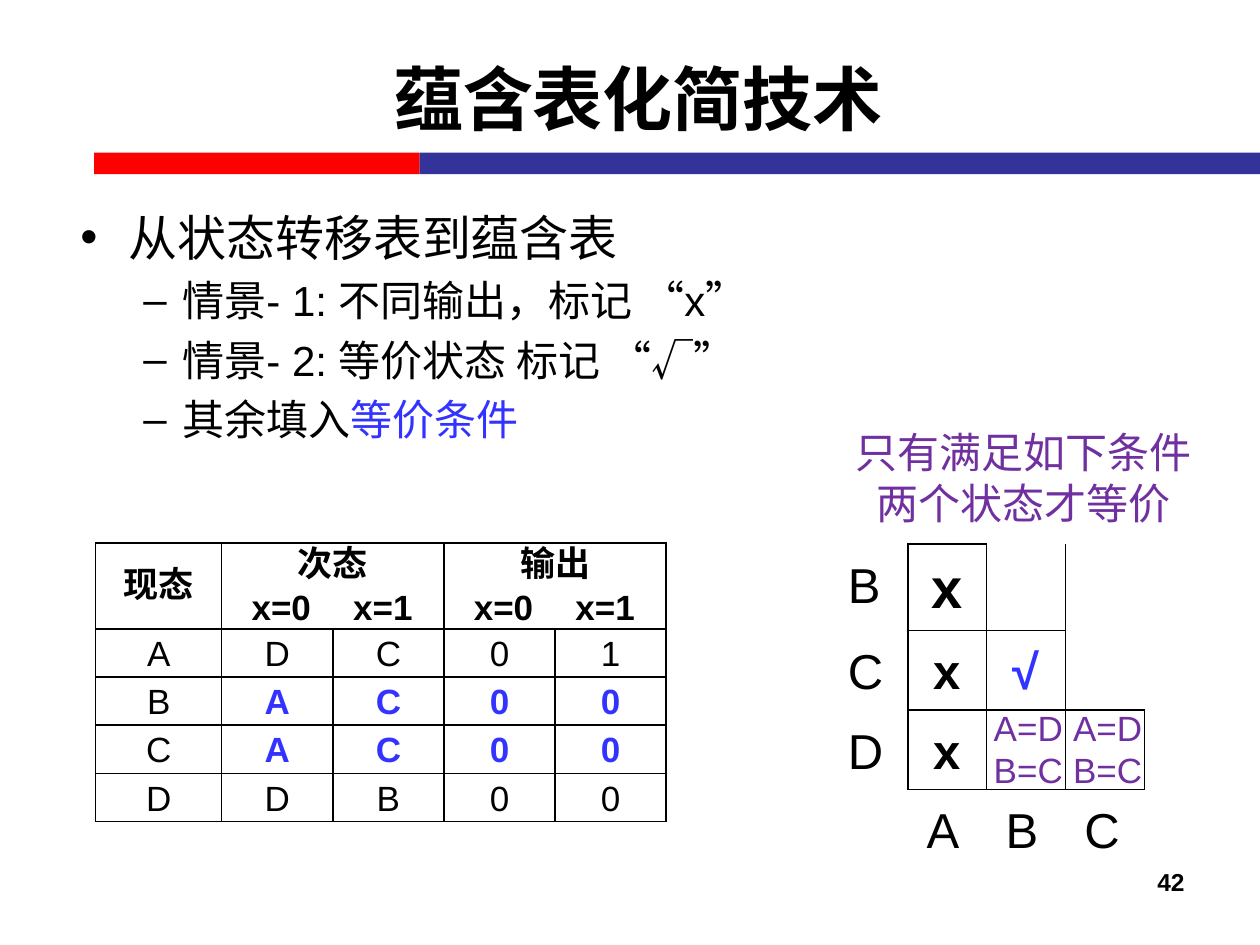
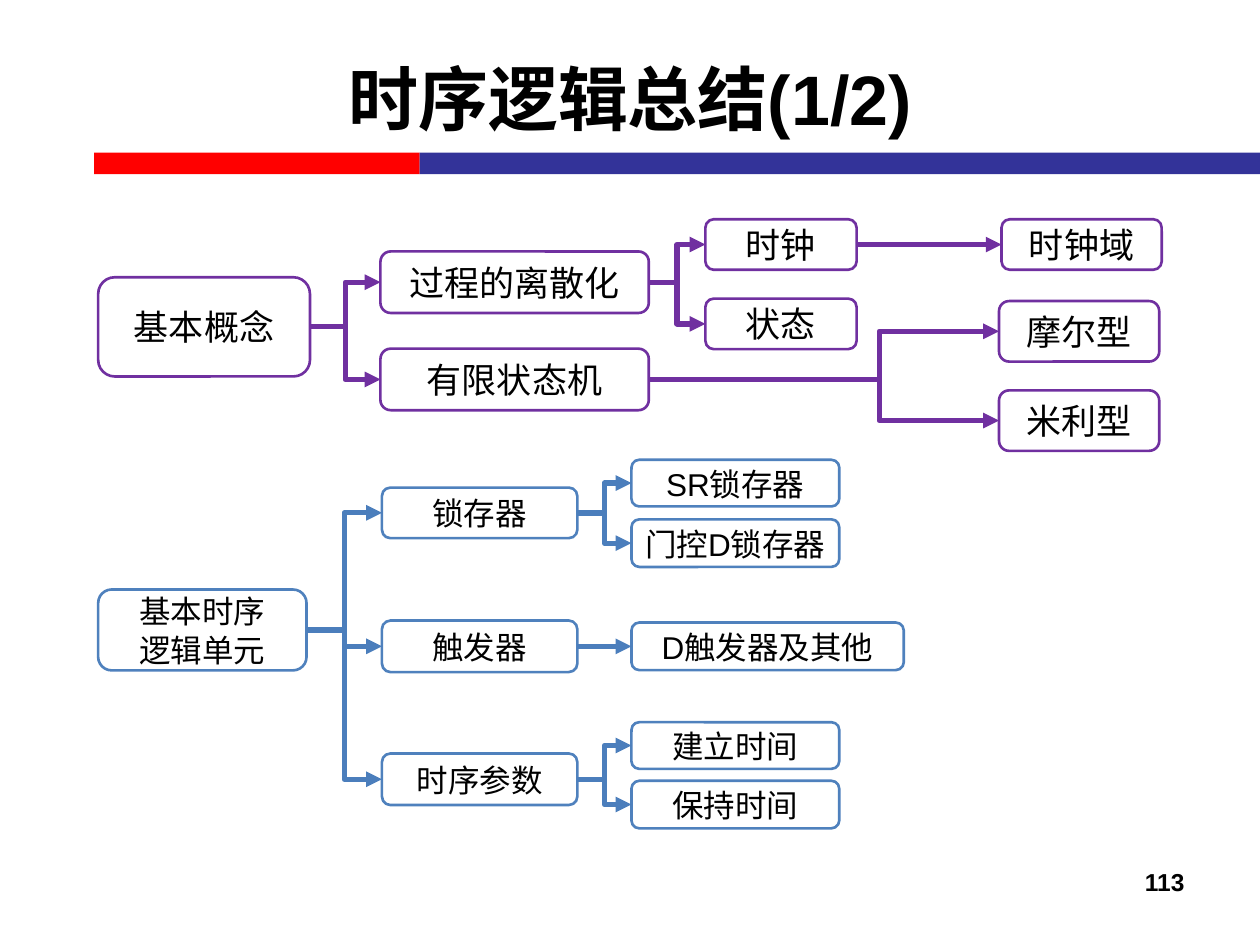
"""Build two lecture slides on state reduction and sequential logic."""
import lxml.etree
import pptx
import pptx.dml.color
import pptx.enum.shapes
import pptx.enum.text
import pptx.oxml.ns
import pptx.util

Cm = pptx.util.Cm
Pt = pptx.util.Pt
qn = pptx.oxml.ns.qn
child = lxml.etree.SubElement
Align = pptx.enum.text.PP_ALIGN
Anchor = pptx.enum.text.MSO_ANCHOR
Preset = pptx.enum.shapes.MSO_SHAPE
Link = pptx.enum.shapes.MSO_CONNECTOR

BLACK, WHITE, RED, NAVY = "000000", "FFFFFF", "FF0000", "333399"
BLUE, PURPLE, STEEL, STEEL_LINE = "3333FF", "7030A0", "4F81BD", "4B7EBC"
LATIN, CHINESE = "Arial", "Noto Sans CJK SC"
PLAIN_TABLE = "{2D5ABB26-0587-4C30-8999-92F81FD0307C}"


def paint(code):
    return pptx.dml.color.RGBColor.from_string(code)


def write(holder, text, size=20, color=BLACK, bold=False, align=Align.CENTER,
          anchor=Anchor.TOP, margins=(0.25, 0.13), highlight=BLUE):
    frame = holder.text_frame
    frame.word_wrap = True
    layout = holder if hasattr(holder, "margin_left") else frame
    layout.vertical_anchor = anchor
    layout.margin_left = layout.margin_right = Cm(margins[0])
    layout.margin_top = layout.margin_bottom = Cm(margins[1])
    for index, line in enumerate(text.split("\n")):
        para = frame.add_paragraph() if index else frame.paragraphs[0]
        para.alignment = align
        para.line_spacing = Pt(round(size * 1.2))
        start, mark, marked = line.partition("|")
        para.text = start
        if mark:
            para.add_run().text = marked
        for position, span in enumerate(para.runs):
            span.font.size = Pt(size)
            span.font.bold = bold
            span.font.name = LATIN
            span.font.color.rgb = paint(highlight if mark and position else color)
            child(span.font._element, qn("a:ea"), typeface=CHINESE)
    return frame


deck = pptx.Presentation()
deck.slide_width, deck.slide_height = Cm(25.4), Cm(19.05)

for title, number in ((" 蕴含表化简技术", "42"), ("时序逻辑总结(1/2)", "113")):
    page = deck.slides.add_slide(deck.slide_layouts[6])
    for left, width, color in ((1.9, 6.56, RED), (8.46, 16.94, NAVY)):
        band = page.shapes.add_shape(Preset.RECTANGLE, Cm(left), Cm(3.08), Cm(width), Cm(0.43))
        band.shadow.inherit = False
        band.fill.solid()
        band.fill.fore_color.rgb = paint(color)
        band.line.fill.background()
    box = page.shapes.add_textbox(Cm(1.27), Cm(0.38), Cm(22.86), Cm(3.18))
    write(box, title, size=40, bold=True, anchor=Anchor.MIDDLE)
    box = page.shapes.add_textbox(Cm(18.21), Cm(17.35), Cm(5.92), Cm(1.32))
    write(box, number, size=14, bold=True, align=Align.RIGHT)

table_page, summary_page = deck.slides

box = table_page.shapes.add_textbox(Cm(1.37), Cm(4.04), Cm(23.5), Cm(5.64))
write(box, "从状态转移表到蕴含表", size=28, align=Align.LEFT)
steps = table_page.shapes.add_textbox(Cm(1.37), Cm(5.4), Cm(23.5), Cm(4.2))
write(steps, "情景- 1: 不同输出，标记 “x”\n情景- 2: 等价状态 标记 “√”\n其余填入|等价条件",
      size=24, align=Align.LEFT)
for holder, bullet, indent, hang in ((box, "•", 0.97, 0.97), (steps, "–", 2.06, 0.79)):
    for index, para in enumerate(holder.text_frame.paragraphs):
        if index:
            para.space_before = Pt(5)
        properties = para._p.get_or_add_pPr()
        properties.set("marL", str(Cm(indent)))
        properties.set("indent", str(-Cm(hang)))
        child(properties, qn("a:buFont"), typeface=LATIN)
        child(properties, qn("a:buChar"), char=bullet)

box = table_page.shapes.add_textbox(Cm(16.93), Cm(8.46), Cm(7.4), Cm(2.31))
write(box, "只有满足如下条件两个状态才等价", size=24, color=PURPLE)

state_rows = [
    ["现态", "次态\n\tx=0\tx=1", "", "输出\n\tx=0\tx=1", ""],
    ["A", "D", "C", "0", "1"],
    ["B", "A", "C", "0", "0"],
    ["C", "A", "C", "0", "0"],
    ["D", "D", "B", "0", "0"],
]
implication_rows = [
    ["B", "x", "", ""],
    ["C", "x", "√", ""],
    ["D", "x", "", ""],
    ["", "A", "B", "C"],
]
state_boxed = {(row, column) for row in range(5) for column in range(5)}
implication_boxed = {(row, column) for row in range(3) for column in range(1, row + 2)}
sides = (("a:lnL", 0, -1), ("a:lnR", 0, 1), ("a:lnT", -1, 0), ("a:lnB", 1, 0))

tables = []
for rows, boxed, left, top, widths, heights, filled in (
        (state_rows, state_boxed, 1.93, 10.95, [2.54] + [2.24] * 4, [1.73] + [0.97] * 4, True),
        (implication_rows, implication_boxed, 16.71, 10.97, [1.59] * 4, [1.59] * 4, False)):
    table = table_page.shapes.add_table(len(rows), len(widths), Cm(left), Cm(top),
                                        Cm(sum(widths)), Cm(sum(heights))).table
    table.first_row = table.horz_banding = False
    table._tbl.tblPr[0].text = PLAIN_TABLE
    for column, width in zip(table.columns, widths):
        column.width = Cm(width)
    for row, height in zip(table.rows, heights):
        row.height = Cm(height)
    for row in range(len(rows)):
        for column in range(len(widths)):
            cell = table.cell(row, column)
            for side, down, right in sides:
                if {(row, column), (row + down, column + right)} & boxed:
                    border = child(cell._tc.get_or_add_tcPr(), qn(side), w=str(Pt(1)))
                    fill = child(border, qn("a:solidFill"))
                    child(fill, qn("a:srgbClr"), val=BLACK)
            if filled:
                cell.fill.solid()
                cell.fill.fore_color.rgb = paint(WHITE)
            else:
                cell.fill.background()
    tables.append(table)
state_table, implication_table = tables

for column in (1, 3):
    state_table.cell(0, column).merge(state_table.cell(0, column + 1))
for row, texts in enumerate(state_rows):
    for column, text in enumerate(texts):
        if text:
            equal = row in (2, 3) and column > 0
            write(state_table.cell(row, column), text, color=BLUE if equal else BLACK,
                  bold=equal or row == 0, anchor=Anchor.MIDDLE, margins=(0, 0))
for column in (1, 3):
    para = state_table.cell(0, column).text_frame.paragraphs[1]
    para.alignment = Align.LEFT
    stops = child(para._p.get_or_add_pPr(), qn("a:tabLst"))
    for stop in (1.2, 3.25):
        child(stops, qn("a:tab"), pos=str(Cm(stop)), algn="ctr")

for row, texts in enumerate(implication_rows):
    for column, text in enumerate(texts):
        if text:
            inside = (row, column) in implication_boxed
            write(implication_table.cell(row, column), text, bold=inside,
                  size=32 if (row, column) == (0, 1) else 28,
                  color=BLUE if text == "√" else BLACK,
                  align=Align.CENTER if inside else Align.LEFT, margins=(0.38, 0.2))

for left in (19.56, 21.16):
    box = table_page.shapes.add_textbox(Cm(left), Cm(14.12), Cm(2.34), Cm(1.96))
    write(box, "A=D\nB=C", color=PURPLE)

concepts = [
    ("基本概念", None, 1.98, 6.59, 4.27, 2),
    ("过程的离散化", "基本概念", 7.67, 5.69, 5.41, 1.24),
    ("有限状态机", "基本概念", 7.67, 7.65, 5.41, 1.24),
    ("时钟", "过程的离散化", 14.22, 4.93, 3.05, 1.02),
    ("状态", "过程的离散化", 14.22, 6.53, 3.05, 1.02),
    ("时钟域", "时钟", 20.19, 4.93, 3.23, 1.02),
    ("摩尔型", "有限状态机", 20.14, 6.68, 3.23, 1.22),
    ("米利型", "有限状态机", 20.14, 8.48, 3.23, 1.22),
]
units = [
    ("基本时序\v逻辑单元", None, 1.98, 12.7, 4.2, 1.63),
    ("锁存器", "基本时序\v逻辑单元", 7.7, 10.34, 3.94, 1.02),
    ("触发器", "基本时序\v逻辑单元", 7.7, 13.03, 3.94, 1.04),
    ("时序参数", "基本时序\v逻辑单元", 7.7, 15.71, 3.94, 1.04),
    ("SR锁存器", "锁存器", 12.73, 9.74, 4.19, 0.94),
    ("门控D锁存器", "锁存器", 12.73, 10.95, 4.19, 0.96),
    ("D触发器及其他", "触发器", 12.73, 13.03, 5.49, 0.96),
    ("建立时间", "时序参数", 12.73, 15.03, 4.19, 0.94),
    ("保持时间", "时序参数", 12.73, 16.22, 4.19, 0.96),
]
for nodes, outline, arrow_color, size in ((concepts, PURPLE, PURPLE, 20),
                                          (units, STEEL, STEEL_LINE, 18)):
    boxes, centres = {}, {}
    for text, parent, left, centre, width, height in nodes:
        box = summary_page.shapes.add_shape(Preset.ROUNDED_RECTANGLE, Cm(left),
                                            Cm(centre - height / 2), Cm(width), Cm(height))
        box.shadow.inherit = False
        box.fill.solid()
        box.fill.fore_color.rgb = paint(WHITE)
        box.line.color.rgb = paint(outline)
        box.line.width = Pt(1.5)
        write(box, text, size=size, anchor=Anchor.MIDDLE, margins=(0, 0))
        boxes[text], centres[text] = box, centre
        if parent is None:
            continue
        level = centres[parent] == centre
        arrow = summary_page.shapes.add_connector(Link.STRAIGHT if level else Link.ELBOW, 0, 0, 0, 0)
        arrow.begin_connect(boxes[parent], 3)
        arrow.end_connect(box, 1)
        arrow.line.color.rgb = paint(arrow_color)
        arrow.line.width = Pt(3)
        child(arrow.line._get_or_add_ln(), qn("a:tailEnd"), type="triangle")
        child(arrow._element.spPr, qn("a:effectLst"))
        if parent == "有限状态机":
            bends = arrow._element.spPr.find(qn("a:prstGeom")).find(qn("a:avLst"))
            child(bends, qn("a:gd"), name="adj1", fmla="val 65800")

deck.save("out.pptx")
